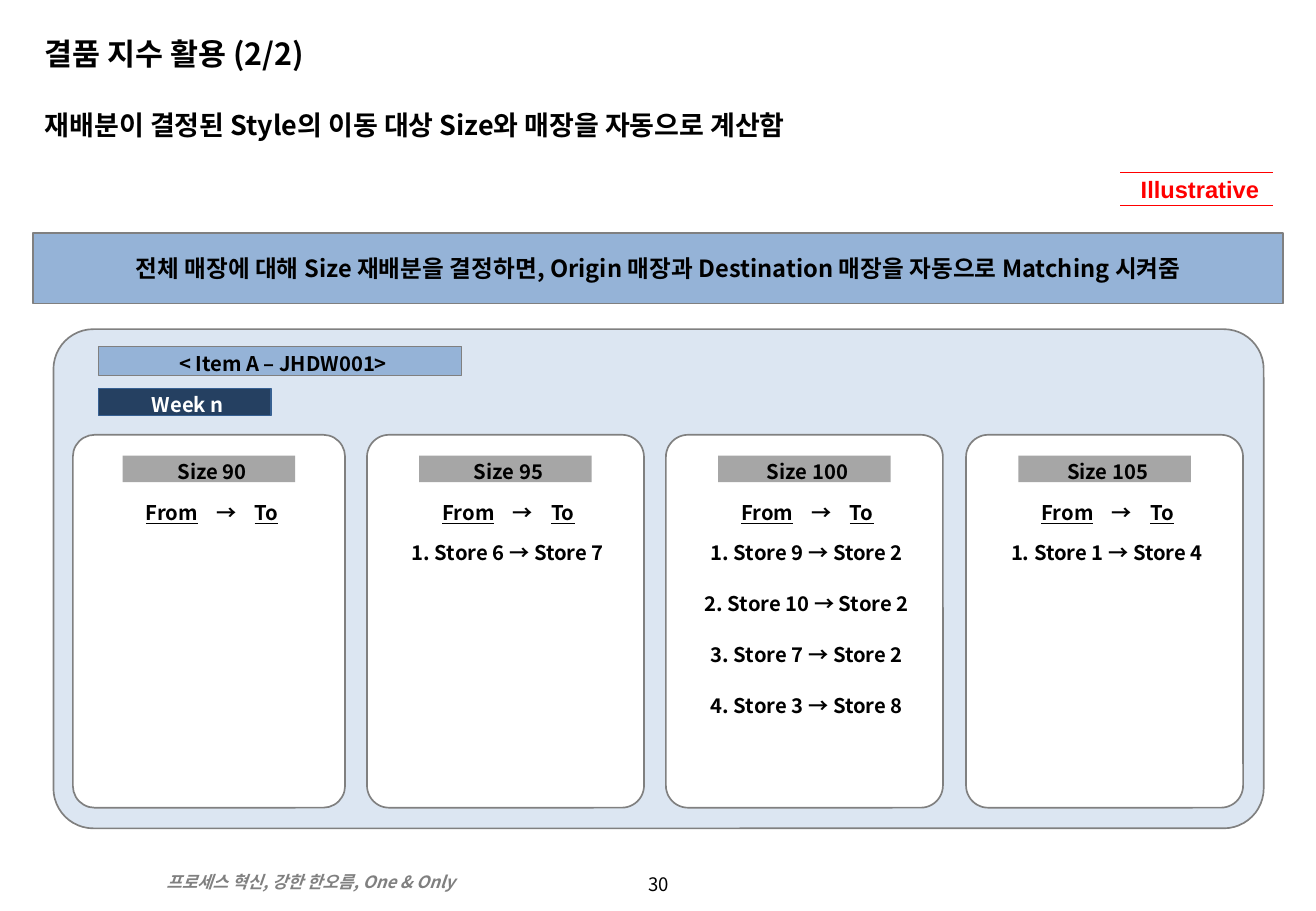
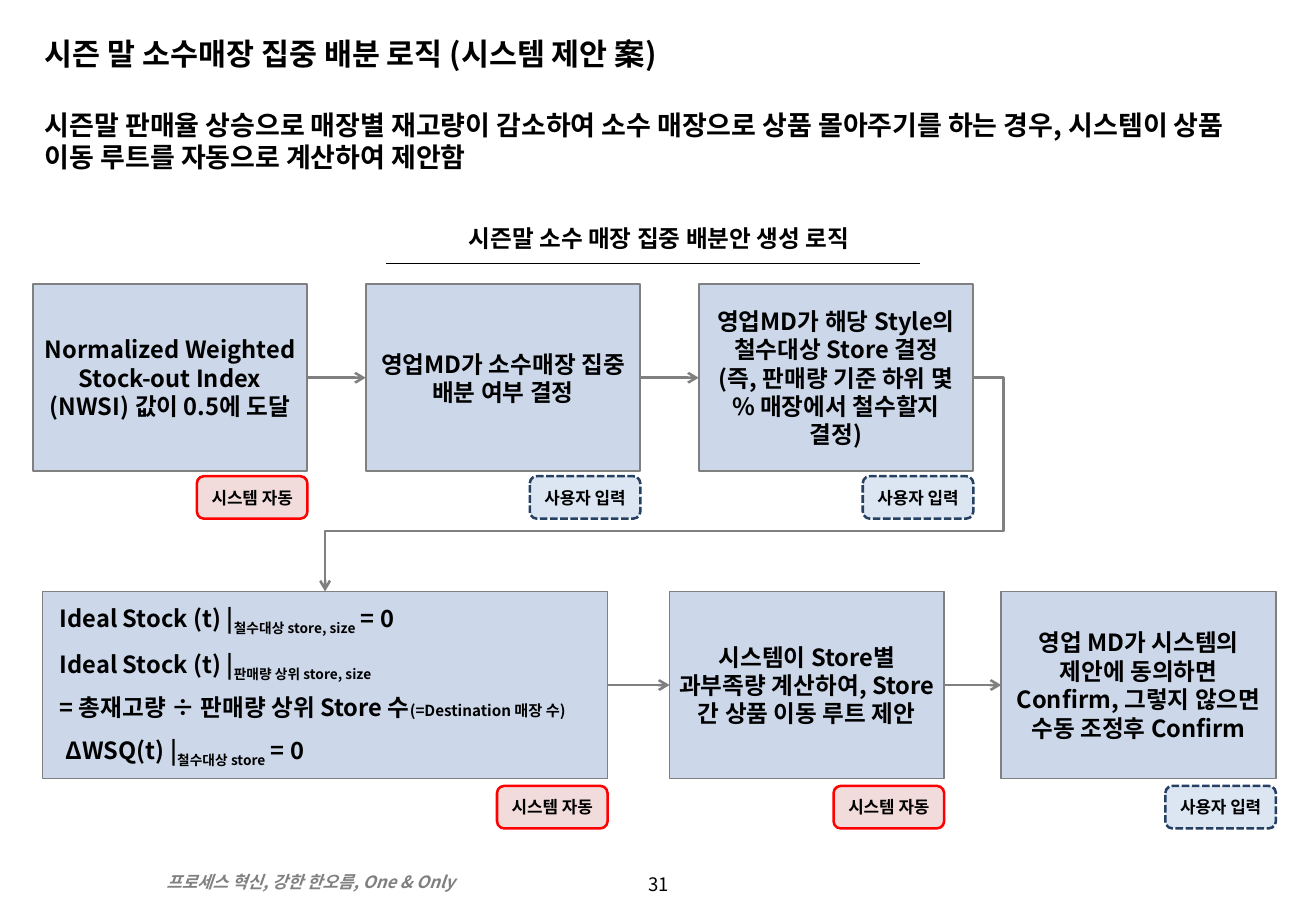
from lxml import etree
from pptx import Presentation
from pptx.dml.color import RGBColor
from pptx.enum.dml import MSO_LINE
from pptx.enum.shapes import MSO_CONNECTOR, MSO_SHAPE
from pptx.enum.text import MSO_ANCHOR, MSO_AUTO_SIZE, PP_ALIGN
from pptx.oxml.ns import qn
from pptx.util import Pt

PX = 9144  # 100 px to the inch
FONT = "Noto Sans CJK KR"
COLORS = {
    "black": "000000", "white": "FFFFFF", "gray": "808080", "label": "A6A6A6",
    "red": "FF0000", "pink": "F2DCDB", "pale": "DCE6F2", "step": "CCD8E9",
    "blue": "95B3D7", "navy": "254061", "edge": "376092",
}
LEFT, CENTER = PP_ALIGN.LEFT, PP_ALIGN.CENTER
TOP, MIDDLE = MSO_ANCHOR.TOP, MSO_ANCHOR.MIDDLE
RECT, ROUND = MSO_SHAPE.RECTANGLE, MSO_SHAPE.ROUNDED_RECTANGLE
SUB = {"baseline": "-25000"}
WIDE = {"spc": "800"}
UNDER = {"u": "sng"}
NOTE = {"sz": "900"}
TIGHT = {"inset": (5, 0, 0, 0), "spacing": 1.2}
LABEL = dict(TIGHT, size=12)
FORMULA = dict(TIGHT, align=LEFT)

FOOTER = "프로세스 혁신, 강한 한오름, One & Only"

REALLOCATION = {
    "page": "30",
    "title": "결품 지수 활용 (2/2)",
    "lead": "재배분이 결정된 Style의 이동 대상 Size와 매장을 자동으로 계산함",
    "banner": "전체 매장에 대해 Size 재배분을 결정하면, Origin 매장과 Destination 매장을 자동으로 Matching 시켜줌",
    "tag": "Illustrative",
    "item": "< Item A – JHDW001>",
    "week": "Week n",
    "cards": [  # name, left, width, moves
        ("Size 90", 60, 224, []),
        ("Size 95", 302, 228, ["1. Store 6 → Store 7"]),
        ("Size 100", 548, 228, ["1. Store 9 → Store 2", "2. Store 10 → Store 2",
                                "3. Store 7 → Store 2", "4. Store 3 → Store 8"]),
        ("Size 105", 795, 228, ["1. Store 1 → Store 4"]),
    ],
}
FROM_TO = [("From", UNDER), (" ", WIDE), ("→", {}), (" ", WIDE), ("To", UNDER)]

LOGIC = {
    "page": "31",
    "title": "시즌 말 소수매장 집중 배분 로직 (시스템 제안 案)",
    "lead": "시즌말 판매율 상승으로 매장별 재고량이 감소하여 소수 매장으로 상품 몰아주기를 하는 경우, "
            "시스템이 상품 이동 루트를 자동으로 계산하여 제안함",
    "heading": "시즌말 소수 매장 집중 배분안 생성 로직",
    "rows": [  # top, badge top, steps as left, width, badge, paragraphs
        (234, 392, [
            (27, 226, "auto", ["Normalized Weighted Stock-out Index (NWSI) 값이 0.5에 도달"]),
            (301, 226, "user", ["영업MD가 소수매장 집중 배분 여부 결정"]),
            (575, 226, "user", ["영업MD가 해당 Style의 철수대상 Store 결정",
                                "(즉, 판매량 기준 하위 몇 % 매장에서 철수할지 결정)"]),
        ]),
        (487, 647, [
            (35, 465, "auto", []),
            (551, 226, "auto", ["시스템이 Store별 과부족량 계산하여, Store 간 상품 이동 루트 제안"]),
            (824, 226, "user", ["영업 MD가 시스템의 제안에 동의하면 Confirm, 그렇지 않으면 수동 조정후 Confirm"]),
        ]),
    ],
    "formulas": [  # box, paragraphs, text options
        ((44, 494, 415, 28),
         [[("Ideal Stock (t) |", {}), ("철수대상 store, size", SUB), (" = 0", {})]], FORMULA),
        ((44, 522, 449, 79),
         [[("Ideal Stock (t) |", {}), ("판매량 상위 store, size", SUB)],
          [("= 총재고량 ÷ 판매량 상위 Store 수", {}), ("(=Destination 매장 수)", NOTE)]], FORMULA),
        ((44, 601, 249, 34),
         [[("ΔWSQ(t) |", {}), ("철수대상 store", SUB), (" = 0", {})]],
         {"align": LEFT, "anchor": TOP, "wrap": False}),
    ],
}
BADGES = {  # text, fill, line, dash
    "auto": ("시스템 자동", "pink", "red", None),
    "user": ("사용자 입력", "pale", "navy", MSO_LINE.SQUARE_DOT),
}


def rgb(name):
    return RGBColor.from_string(COLORS[name])


def emu(*lengths):
    return [length * PX for length in lengths]


def write(sp, paragraphs, size=14, color="black", align=CENTER, anchor=MIDDLE, bold=True,
          italic=False, font=FONT, inset=(10, 5, 10, 5), spacing=None, wrap=True):
    """Fill a shape with paragraphs, each a string or a list of (text, run attributes)."""
    tf = sp.text_frame
    tf.auto_size = MSO_AUTO_SIZE.NONE
    tf.word_wrap = wrap
    tf.vertical_anchor = anchor
    tf.margin_left, tf.margin_top, tf.margin_right, tf.margin_bottom = emu(*inset)
    for i, content in enumerate(paragraphs):
        p = tf.add_paragraph() if i else tf.paragraphs[0]
        p.alignment = align
        if spacing:
            p.line_spacing = spacing
            p.space_before = Pt(size * 0.2)
        runs = [(content, {})] if isinstance(content, str) else content
        for text, attributes in runs:
            r = p.add_run()
            r.text = text
            r.font.size, r.font.bold, r.font.italic = Pt(size), bold, italic
            r.font.color.rgb = rgb(color)
            r.font.name = font
            rPr = r.font._element
            etree.SubElement(rPr, qn("a:ea")).set("typeface", FONT)
            for key, value in attributes.items():
                rPr.set(key, value)


def add_text(s, box, paragraphs, **options):
    write(s.shapes.add_textbox(*emu(*box)), paragraphs, **options)


def add_box(s, box, fill, line="gray", width=1, kind=RECT, paragraphs=(), **options):
    sp = s.shapes.add_shape(kind, *emu(*box))
    sp.shadow.inherit = False
    sp.fill.solid()
    sp.fill.fore_color.rgb = rgb(fill)
    if line:
        sp.line.color.rgb = rgb(line)
        sp.line.width = Pt(width)
    else:
        sp.line.fill.background()
    write(sp, paragraphs, **options)
    return sp


def add_line(s, start, end, color, width, kind=MSO_CONNECTOR.STRAIGHT):
    line = s.shapes.add_connector(kind, *emu(*start, *end))
    line.line.color.rgb = rgb(color)
    line.line.width = Pt(width)
    etree.SubElement(line._element.spPr, qn("a:effectLst"))
    return line


def join(s, first, second, sides=(3, 1), kind=MSO_CONNECTOR.STRAIGHT):
    """Draw an arrow from one step to another."""
    arrow = add_line(s, (0, 0), (0, 0), "gray", 1.5, kind)
    arrow.begin_connect(first, sides[0])
    arrow.end_connect(second, sides[1])
    etree.SubElement(arrow.line._get_or_add_ln(), qn("a:tailEnd")).set("type", "arrow")
    return arrow


def place_placeholders(layout):
    boxes = {0: (27, 24, 1024, 46), 1: (27, 84, 1026, 83)}
    for sp in layout.placeholders:
        box = boxes.get(sp.placeholder_format.idx)
        if box:
            sp.left, sp.top, sp.width, sp.height = emu(*box)


def add_page(prs, data):
    """Add a slide with its title, lead sentence and footer."""
    s = prs.slides.add_slide(prs.slide_layouts[1])
    title, lead = s.placeholders
    write(title, [data["title"]], size=18, align=LEFT, anchor=TOP)
    write(lead, [data["lead"]], size=16, align=LEFT, anchor=TOP)
    pPr = lead.text_frame.paragraphs[0]._p.get_or_add_pPr()
    pPr.set("marL", "0")
    pPr.set("indent", "0")
    etree.SubElement(pPr, qn("a:buNone"))
    add_text(s, (492, 713, 100, 30), [data["page"]], size=11, bold=False)
    add_text(s, (127, 713, 332, 27), [FOOTER], size=10, color="gray", italic=True,
             align=LEFT, anchor=TOP)
    return s


def add_reallocation(prs, data):
    s = add_page(prs, data)
    add_box(s, (27, 192, 1029, 58), "blue", paragraphs=[data["banner"]],
            inset=(6, 0, 6, 0), wrap=False)
    add_box(s, (44, 271, 996, 411), "pale", kind=ROUND).adjustments[0] = 0.08
    add_box(s, (81, 285, 299, 24), "blue", width=0.75, paragraphs=[data["item"]], **LABEL)
    add_box(s, (81, 320, 142, 22), "navy", "edge", 0.75, paragraphs=[data["week"]],
            color="white", **LABEL)
    for name, left, width, moves in data["cards"]:
        add_box(s, (left, 358, width, 307), "white", kind=ROUND).adjustments[0] = 0.08

        def centered(top, inner, height):
            return left + (width - inner) // 2, top, inner, height

        add_box(s, centered(375, 142, 22), "label", None, paragraphs=[name], **LABEL)
        add_text(s, centered(409, 174, 22), [FROM_TO], **LABEL)
        for i, move in enumerate(moves):
            add_text(s, centered(441 + 42 * i, 199, 24), [move], **LABEL)
    add_text(s, (927, 139, 121, 34), [data["tag"]], color="red", font="Arial")
    for y in (142, 169):
        add_line(s, (922, y), (1048, y), "red", 0.25)


def add_logic(prs, data):
    s = add_page(prs, data)
    add_text(s, (335, 180, 410, 28), [data["heading"]], **TIGHT)
    add_line(s, (318, 217), (757, 217), "black", 0.75)
    rows = []
    for top, badge_top, steps in data["rows"]:
        row = []
        for left, width, badge, paragraphs in steps:
            row.append(add_box(s, (left, top, width, 154), "step", paragraphs=paragraphs,
                               inset=(8, 0, 8, 0)))
            text, fill, line, dash = BADGES[badge]
            sp = add_box(s, (left + width - 91, badge_top, 91, 35), fill, line, 1.5, ROUND,
                         [text], size=10, font="Arial", inset=(6, 0, 6, 0), wrap=False)
            if dash:
                sp.line.dash_style = dash
        for first, second in zip(row, row[1:]):
            join(s, first, second)
        rows.append(row)
    turn = join(s, rows[0][-1], rows[1][0], (3, 0), MSO_CONNECTOR.ELBOW)
    geometry = turn._element.spPr.find(qn("a:prstGeom"))
    geometry.set("prst", "bentConnector4")
    guides = geometry.find(qn("a:avLst"))
    for name, value in (("adj1", -4700), ("adj2", 71800)):
        guide = etree.SubElement(guides, qn("a:gd"))
        guide.set("name", name)
        guide.set("fmla", f"val {value}")
    for box, paragraphs, options in data["formulas"]:
        add_text(s, box, paragraphs, **options)


def main():
    prs = Presentation()
    prs.slide_width, prs.slide_height = emu(1083, 750)
    place_placeholders(prs.slide_layouts[1])
    add_reallocation(prs, REALLOCATION)
    add_logic(prs, LOGIC)
    prs.save("out.pptx")


if __name__ == "__main__":
    main()
